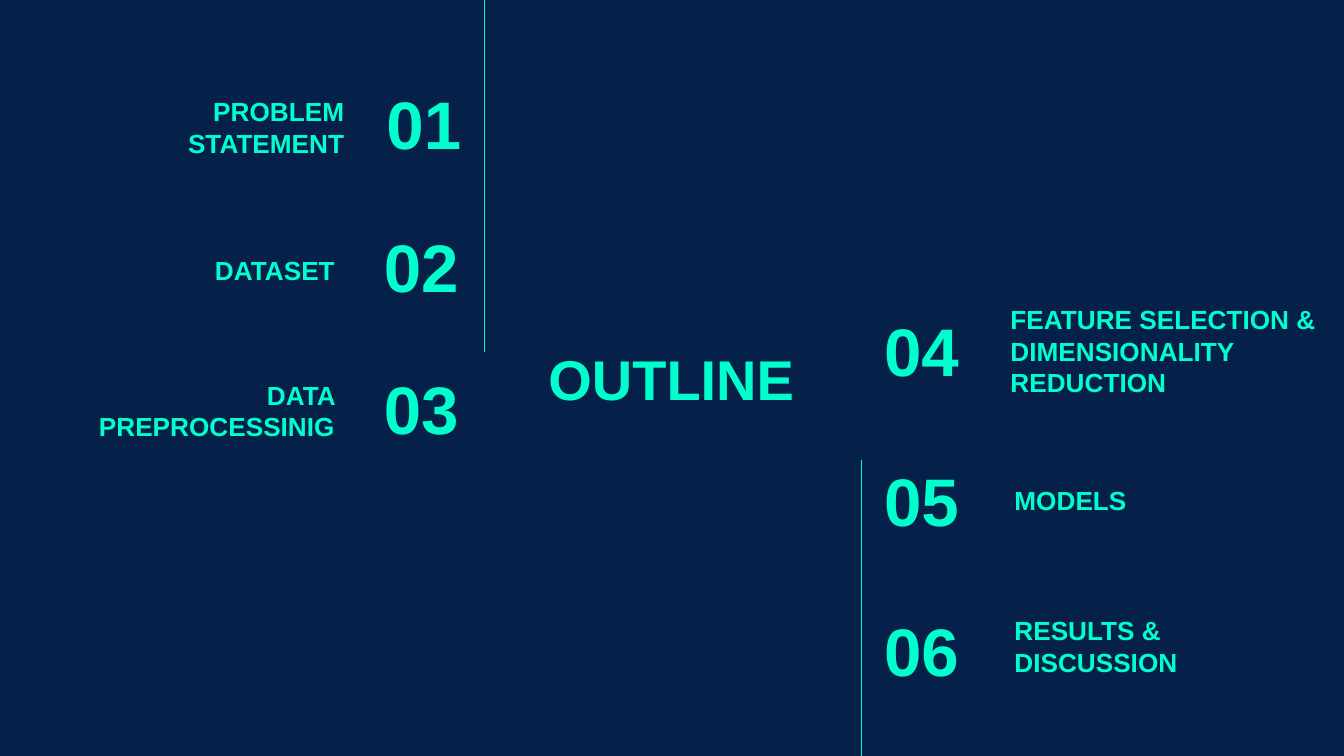
import pptx
import pptx.dml.color
import pptx.enum.shapes
import pptx.enum.text
import pptx.oxml.ns
import pptx.util
from lxml import etree

HUES = {"navy": "05214A", "mint": "00FFCD"}
ALIGN = pptx.enum.text.PP_ALIGN
ANCHOR = pptx.enum.text.MSO_ANCHOR
COLS, ROWS = 100, 56.25


class Deck:
    """Draw on a grid of 100 columns by 56.25 rows, each a tenth of an inch."""

    def __init__(self):
        self.file = pptx.Presentation()
        self.file.slide_width = pptx.util.Inches(10)
        self.file.slide_height = self.file.slide_width * 9 // 16
        self.slide = self.file.slides.add_slide(self.file.slide_layouts[6])
        fill = self.slide.background.fill
        fill.solid()
        fill.fore_color.rgb = self.hue("navy")

    def hue(self, name):
        return pptx.dml.color.RGBColor.from_string(HUES[name])

    def x(self, col):
        return round(self.file.slide_width * col / COLS)

    def y(self, row):
        return round(self.file.slide_height * row / ROWS)

    def text(self, words, col, row, wide, high=6.3, size=14,
             align=ALIGN.LEFT, anchor=ANCHOR.MIDDLE):
        box = self.slide.shapes.add_textbox(
            self.x(col), self.y(row), self.x(wide), self.y(high))
        frame = box.text_frame
        frame.word_wrap = True
        frame.vertical_anchor = anchor
        for side in ("left", "top", "right", "bottom"):
            setattr(frame, f"margin_{side}", pptx.util.Inches(0.1))
        line = frame.paragraphs[0]
        line.alignment = align
        run = line.add_run()
        run.text = words
        run.font.name = "Arial"
        run.font.size = pptx.util.Pt(size)
        run.font.bold = True
        run.font.color.rgb = self.hue("mint")

    def rule(self, col, top, end):
        line = self.slide.shapes.add_connector(
            pptx.enum.shapes.MSO_CONNECTOR.STRAIGHT,
            self.x(col), self.y(top), self.x(col), self.y(end))
        line.line.color.rgb = self.hue("mint")
        line.line.width = pptx.util.Pt(0.75)
        props = line._element.spPr
        etree.SubElement(props, pptx.oxml.ns.qn("a:effectLst"))

    def topic(self, mark, label, spot, place, align):
        self.text(mark, *spot, size=36, align=align)
        self.text(label, *place, align=align, anchor=ANCHOR.BOTTOM)


LEFT = [
    ("01", "PROBLEM STATEMENT", (23.2, 6, 12.1), (5, 6.5, 21.6)),
    ("02", "DATASET", (23, 16.6, 12.1), (4.3, 16, 21.6)),
    ("03", "DATA PREPROCESSINIG", (23, 27.2, 12.1), (4.3, 27.6, 21.6)),
]
RIGHT = [
    ("04", "FEATURE SELECTION & DIMENSIONALITY REDUCTION",
     (64.8, 22.9, 11.7), (74.2, 24.3, 25.8)),
    ("05", "MODELS", (64.8, 34, 11.7), (74.5, 33.1, 21.6)),
    ("06", "RESULTS & DISCUSSION", (64.8, 45.2, 11.7), (74.5, 45.1, 21.6)),
]


def main():
    deck = Deck()
    deck.text("OUTLINE", 37, 23, 25.9, 10.3, size=30, align=ALIGN.CENTER)
    for group, align in ((LEFT, ALIGN.RIGHT), (RIGHT, ALIGN.LEFT)):
        for item in group:
            deck.topic(*item, align)
    deck.rule(36.06, 0, 26.2)
    deck.rule(64.1, 34.2, ROWS)
    deck.file.save("out.pptx")


if __name__ == "__main__":
    main()
